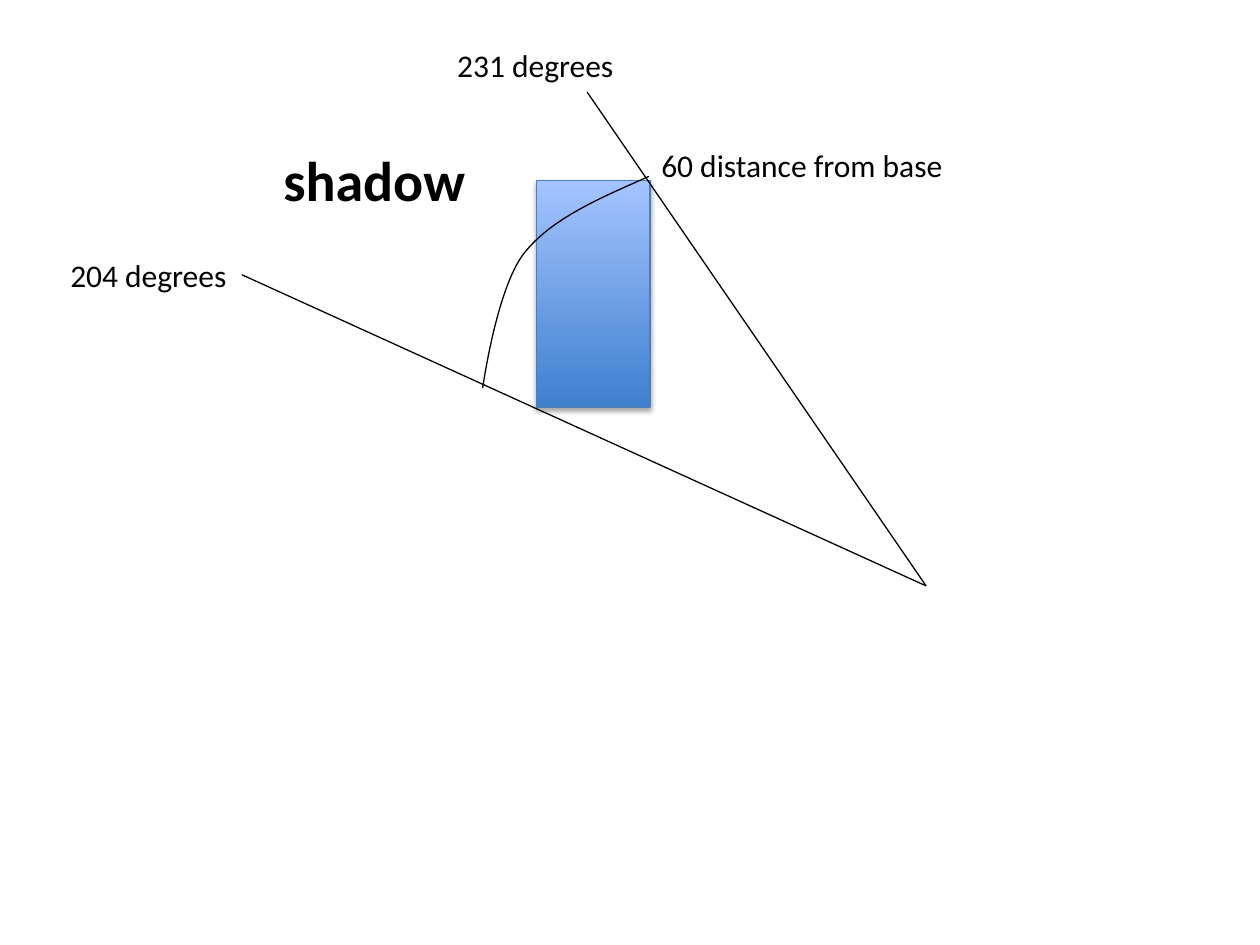
from lxml import etree
from pptx import Presentation
from pptx import util as u
from pptx.dml.color import RGBColor
from pptx.enum import shapes, text
from pptx.oxml import ns

COLORS = {"ink": "000000", "base": "3F80CE", "top": "A4C4FF", "edge": "4B7EBC"}
FONT = "Calibri"


def color(name):
    return RGBColor.from_string(COLORS[name])


def set_line(shape, name):
    shape.line.color.rgb = color(name)
    shape.line.width = u.Pt(0.75)


def add_label(page, left, top, width, height, words, size=18, bold=False):
    box = page.shapes.add_textbox(u.Pt(left), u.Pt(top), u.Pt(width), u.Pt(height))
    box.text_frame.word_wrap = False
    box.text_frame.auto_size = text.MSO_AUTO_SIZE.SHAPE_TO_FIT_TEXT
    para = box.text_frame.paragraphs[0]
    para.text = words
    para.font.name = FONT
    para.font.size = u.Pt(size)
    para.font.bold = bold
    para.font.color.rgb = color("ink")


def add_block(page, left, top, width, height):
    block = page.shapes.add_shape(
        shapes.MSO_SHAPE.RECTANGLE, u.Pt(left), u.Pt(top), u.Pt(width), u.Pt(height))
    block.fill.gradient()
    block.fill.gradient_angle = 90
    for stop, name in zip(block.fill.gradient_stops, ("base", "top")):
        stop.color.rgb = color(name)
    set_line(block, "edge")
    block.shadow.inherit = False
    effects = block._element.spPr.find(ns.qn("a:effectLst"))
    shade = etree.SubElement(
        effects, ns.qn("a:outerShdw"), blurRad=str(u.Pt(3.1)), dist=str(u.Pt(1.8)),
        dir="5400000", rotWithShape="0")
    tint = etree.SubElement(shade, ns.qn("a:srgbClr"), val=COLORS["ink"])
    etree.SubElement(tint, ns.qn("a:alpha"), val="35000")


def add_ray(page, start, end):
    ray = page.shapes.add_connector(
        shapes.MSO_CONNECTOR.STRAIGHT, *(u.Pt(value) for value in start + end))
    set_line(ray, "ink")
    etree.SubElement(ray._element.spPr, ns.qn("a:effectLst"))


def add_curve(page, points):
    points = [(u.Pt(x), u.Pt(y)) for x, y in points]
    builder = page.shapes.build_freeform(*points[0])
    builder.add_line_segments(points[1:], close=False)
    curve = builder.convert_to_shape()
    segments = list(curve._element.iter(ns.qn("a:lnTo")))
    outline = segments[0].getparent()
    for first in range(0, len(segments), 3):
        bend = etree.SubElement(outline, ns.qn("a:cubicBezTo"))
        for segment in segments[first:first + 3]:
            bend.append(segment[0])
            outline.remove(segment)
    curve.fill.background()
    set_line(curve, "ink")
    curve.shadow.inherit = False


def add_shadow_diagram(page, left, top, width, height):
    def at(x, y):
        return left + x, top + y

    add_block(page, *at(168.5, 50.4), 64.8, 129.6)
    apex = at(width, height)
    for end in ((197.3, 0), (0, 104.4)):
        add_ray(page, apex, at(*end))
    add_label(page, *at(16.6, 27.3), 119.5, 46.1, "shadow", 32, True)
    add_label(page, *at(-105.1, 90), 105.1, 28.8, "204 degrees")
    add_label(page, *at(116, -29.6), 105.1, 28.8, "231 degrees")
    add_label(page, *at(232.6, 27.3), 177.8, 28.8, "60 distance from base")
    arc = [(232.6, 48.2), (205.2, 60.4), (177.2, 72), (161.3, 92.1),
           (145.5, 112.3), (137.6, 169.2), (137.6, 169.2)]
    add_curve(page, [at(*point) for point in arc])


def main():
    deck = Presentation()
    deck.slide_width, deck.slide_height = u.Pt(720), u.Pt(540)
    page = deck.slides.add_slide(deck.slide_layouts[6])
    add_shadow_diagram(page, 138.2, 52.6, 391, 282.2)
    deck.save("out.pptx")


if __name__ == "__main__":
    main()
